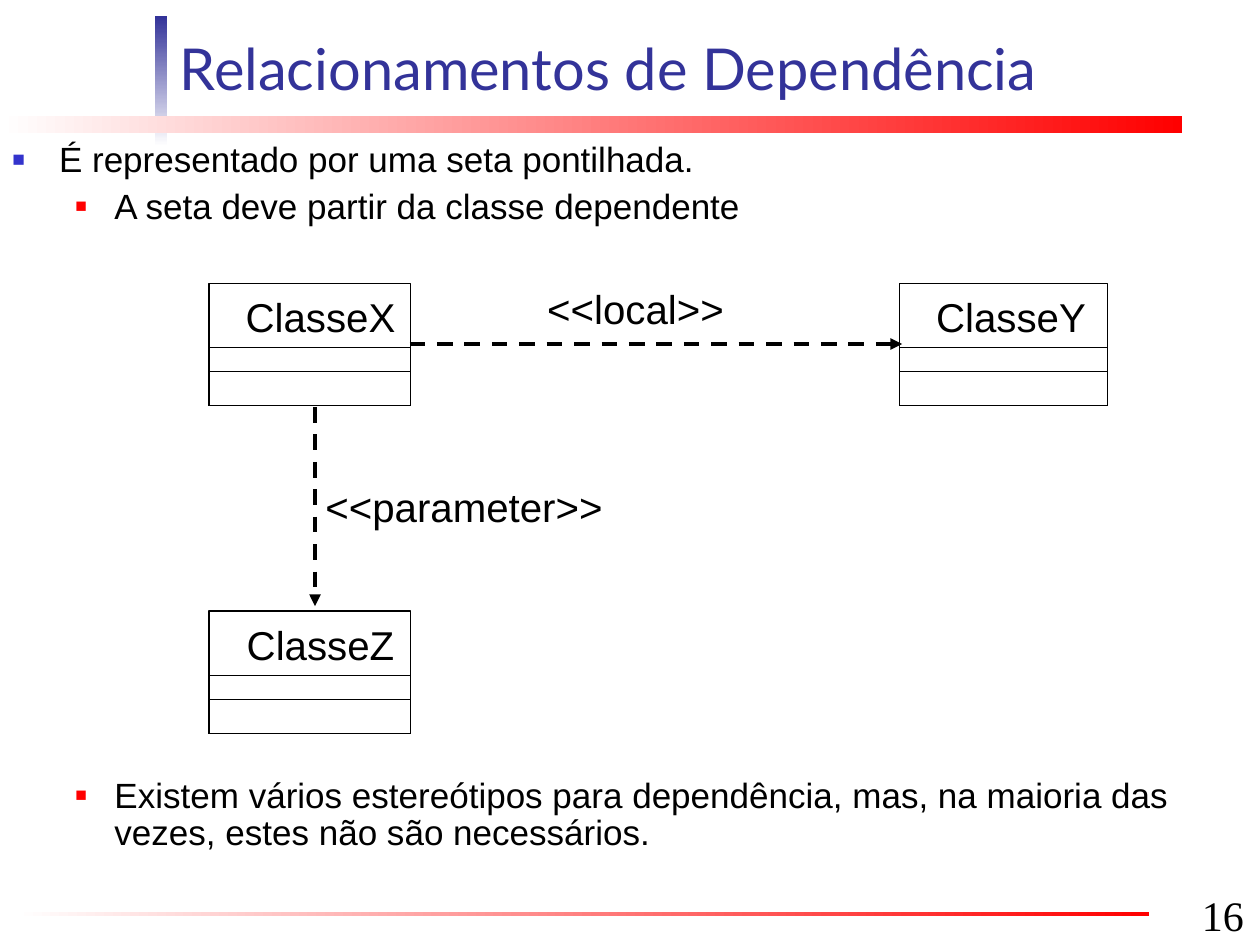
from dataclasses import dataclass

from lxml import etree
from pptx import Presentation
from pptx.dml.color import RGBColor
from pptx.enum.dml import MSO_LINE_DASH_STYLE as Dash
from pptx.enum.shapes import MSO_CONNECTOR as Conn, MSO_SHAPE as Shape
from pptx.enum.text import MSO_ANCHOR as Anchor, MSO_AUTO_SIZE as AutoSize, PP_ALIGN as Align
from pptx.oxml.ns import qn
from pptx.util import Inches, Pt


@dataclass(frozen=True)
class Theme:
    navy: str = "333399"
    blue: str = "3333CC"
    red: str = "FF0000"
    white: str = "FFFFFF"
    black: str = "000000"
    sans: str = "Arial"
    title_font: str = "Lato"
    number_font: str = "Times New Roman"
    title: int = 33
    body: int = 20
    label: int = 23
    number: int = 24
    outline: float = 0.75
    arrow: float = 2.25


@dataclass(frozen=True)
class Bar:
    box: tuple
    start: str
    end: str
    angle: int


@dataclass(frozen=True)
class Bullet:
    text: str
    color: str
    size: int
    margin: float
    hanging: float
    before: int


@dataclass(frozen=True)
class ClassBox:
    name: str
    left: float
    top: float
    width: float


@dataclass(frozen=True)
class Dependency:
    start: tuple
    end: tuple
    stereotype: str
    label_box: tuple


T = Theme()
BOX_HEIGHT = 0.97
COMPARTMENTS = (0, 0.51, 0.7)
LABEL_HEIGHT = 0.38
NAME_OFFSET = (0.28, 0.07)
NAME_WIDTH = 1.21

BARS = (
    Bar((1.23, 0.13, 0.1, 1.03), T.navy, T.white, 270),
    Bar((0, 0.92, 9.38, 0.14), T.white, T.red, 0),
    Bar((0.12, 7.24, 9, 0.03), T.white, T.red, 0),
)
BULLETS = (
    Bullet("É representado por uma seta pontilhada.", T.blue, 60, 0.37, 0.37, 0),
    Bullet("A seta deve partir da classe dependente", T.red, 55, 0.81, 0.31, 5),
    Bullet("Existem vários estereótipos para dependência, mas, na maioria das "
           "vezes, estes não são necessários.", T.red, 55, 0.81, 0.31, 315),
)
CLASSES = (
    ClassBox("ClasseX", 1.66, 2.25, 1.6),
    ClassBox("ClasseY", 7.14, 2.25, 1.65),
    ClassBox("ClasseZ", 1.66, 4.85, 1.6),
)
DEPENDENCIES = (
    Dependency((3.25, 2.73), (7.16, 2.73), "<<local>>", (4.34, 2.26, 1.41, LABEL_HEIGHT)),
    Dependency((2.5, 3.23), (2.5, 4.81), "<<parameter>>", (2.58, 3.83, 2.21, LABEL_HEIGHT)),
)


def rgb(color: str) -> RGBColor:
    return RGBColor.from_string(color)


def inches(values: tuple) -> list:
    return [Inches(v) for v in values]


def add_run(p, text: str, size: int, font: str, color: str) -> None:
    r = p.add_run()
    r.text = text
    r.font.size = Pt(size)
    r.font.name = font
    r.font.color.rgb = rgb(color)


def add_frame(s, box: tuple, anchor=Anchor.TOP):
    tf = s.shapes.add_textbox(*inches(box)).text_frame
    tf.word_wrap = True
    tf.vertical_anchor = anchor
    return tf


def add_label(s, box: tuple, text: str) -> None:
    tf = add_frame(s, box)
    tf.word_wrap = False
    tf.auto_size = AutoSize.SHAPE_TO_FIT_TEXT
    tf.margin_left = tf.margin_right = tf.margin_top = tf.margin_bottom = 0
    p = tf.paragraphs[0]
    p.alignment = Align.CENTER
    add_run(p, text, T.label, T.sans, T.black)


def add_rect(s, box: tuple):
    sp = s.shapes.add_shape(Shape.RECTANGLE, *inches(box))
    sp.shadow.inherit = False
    return sp


def add_bar(s, bar: Bar) -> None:
    sp = add_rect(s, bar.box)
    sp.line.fill.background()
    sp.fill.gradient()
    sp.fill.gradient_angle = bar.angle
    for stop, color in zip(sp.fill.gradient_stops, (bar.start, bar.end)):
        stop.color.rgb = rgb(color)


def add_bullet(p, bullet: Bullet) -> None:
    pPr = p._p.get_or_add_pPr()
    pPr.set("marL", str(Inches(bullet.margin)))
    pPr.set("indent", str(-Inches(bullet.hanging)))
    clr = etree.SubElement(pPr, qn("a:buClr"))
    etree.SubElement(clr, qn("a:srgbClr"), val=bullet.color)
    etree.SubElement(pPr, qn("a:buSzPct"), val=str(bullet.size * 1000))
    etree.SubElement(pPr, qn("a:buFont"), typeface=T.sans)
    etree.SubElement(pPr, qn("a:buChar"), char="■")
    p.line_spacing = 0.9
    p.space_before = Pt(bullet.before)
    add_run(p, bullet.text, T.body, T.sans, T.black)


def add_class(s, c: ClassBox) -> None:
    for offset in COMPARTMENTS:
        sp = add_rect(s, (c.left, c.top + offset, c.width, BOX_HEIGHT - offset))
        sp.fill.background()
        sp.line.color.rgb = rgb(T.black)
        sp.line.width = Pt(T.outline)
    dx, dy = NAME_OFFSET
    add_label(s, (c.left + dx, c.top + dy, NAME_WIDTH, LABEL_HEIGHT), c.name)


def add_dependency(s, d: Dependency) -> None:
    cx = s.shapes.add_connector(Conn.STRAIGHT, *inches(d.start + d.end))
    cx.line.color.rgb = rgb(T.black)
    cx.line.width = Pt(T.arrow)
    cx.line.dash_style = Dash.DASH
    etree.SubElement(cx.line._get_or_add_ln(), qn("a:tailEnd"), type="triangle")
    etree.SubElement(cx._element.spPr, qn("a:effectLst"))
    add_label(s, d.label_box, d.stereotype)


def main() -> None:
    prs = Presentation()
    prs.slide_width, prs.slide_height = Inches(10), Inches(7.5)
    s = prs.slides.add_slide(prs.slide_layouts[6])

    for bar in BARS:
        add_bar(s, bar)

    number = add_frame(s, (9.44, 7.01, 0.83, 0.5), Anchor.BOTTOM)
    add_run(number.paragraphs[0], "16", T.number, T.number_font, T.black)
    title = add_frame(s, (1.33, 0.18, 8.67, 0.68), Anchor.BOTTOM)
    add_run(title.paragraphs[0], "Relacionamentos de Dependência",
            T.title, T.title_font, T.navy)

    body = add_frame(s, (0, 1.08, 9.79, 6.11))
    for i, bullet in enumerate(BULLETS):
        add_bullet(body.add_paragraph() if i else body.paragraphs[0], bullet)

    for c in CLASSES:
        add_class(s, c)
    for d in DEPENDENCIES:
        add_dependency(s, d)

    prs.save("out.pptx")


if __name__ == "__main__":
    main()
